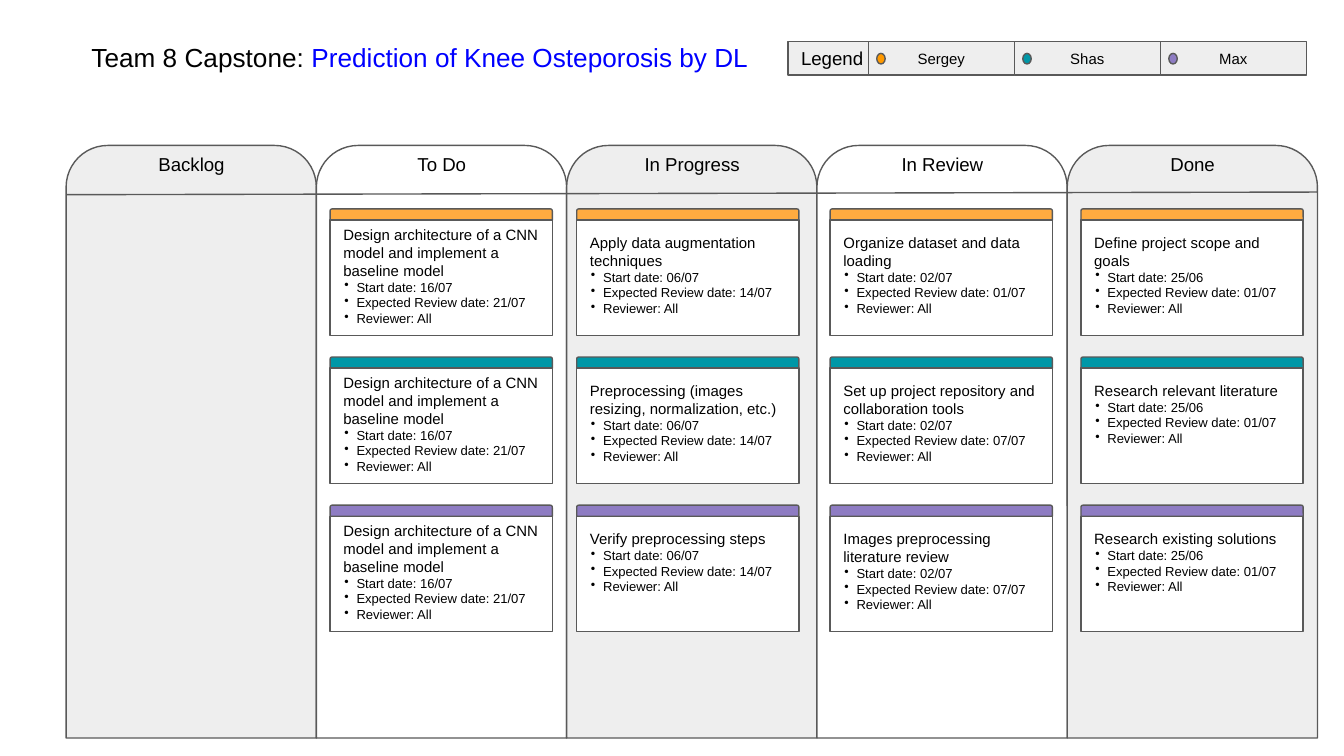
from dataclasses import dataclass

from lxml import etree
from pptx import Presentation
from pptx import util as u
from pptx.dml.color import RGBColor
from pptx.enum import shapes, text
from pptx.oxml import ns


@dataclass(frozen=True)
class Theme:
    font: str = "Arial"
    ink: str = "000000"
    accent: str = "0000FF"
    outline: str = "595959"
    white: str = "FFFFFF"
    grey: str = "EEEEEE"
    dots: tuple = ("FF9900", "0097A7", "8E7CC3")
    bars: tuple = ("FFAB40", "0097A7", "8E7CC3")
    title_size: float = 14
    heading_size: float = 10
    task_size: float = 8
    detail_size: float = 7
    line_width: float = 0.75


THEME = Theme()
RECT = shapes.MSO_SHAPE.RECTANGLE
ROUND_TOP = shapes.MSO_SHAPE.ROUND_2_SAME_RECTANGLE
CENTER = text.PP_ALIGN.CENTER
MIDDLE = text.MSO_ANCHOR.MIDDLE

MEMBERS = ("Sergey", "Shas", "Max")
INSET = 0.25
BOARD_LEFT, BOARD_TOP = 1.25, 2.75
COLUMN_WIDTH, COLUMN_HEIGHT = 4.73, 11.2
CARD_TOP, CARD_PITCH, CARD_WIDTH = 3.95, 2.8, 4.2
BAR_HEIGHT, CARD_HEIGHT = 0.21, 2.18
LEGEND_LEFT, LEGEND_TOP, LEGEND_HEIGHT = 14.89, 0.79, 0.63
MEMBER_LEFT, MEMBER_WIDTH = 16.41, 2.76

BASELINE = "Design architecture of a CNN model and implement a baseline model"
# heading, card offset in the column, top inset, start date, (task, review date) per member
COLUMNS = [
    ("Backlog", 0, INSET, "", []),
    ("To Do", 0.26, 0.1, "16/07", [(BASELINE, "21/07")] * 3),
    ("In Progress", 0.19, INSET, "06/07", [
        ("Apply data augmentation techniques", "14/07"),
        ("Preprocessing (images resizing, normalization, etc.)", "14/07"),
        ("Verify preprocessing steps", "14/07"),
    ]),
    ("In Review", 0.25, INSET, "02/07", [
        ("Organize dataset and data loading", "01/07"),
        ("Set up project repository and collaboration tools", "07/07"),
        ("Images preprocessing literature review", "07/07"),
    ]),
    ("Done", 0.26, INSET, "25/06", [
        ("Define project scope and goals", "01/07"),
        ("Research relevant literature", "01/07"),
        ("Research existing solutions", "01/07"),
    ]),
]


def color(value):
    return RGBColor.from_string(value)


def cm(*lengths):
    return [u.Cm(length) for length in lengths]


def add_box(parent, kind, place, fill):
    """Add an outlined, filled shape; place is left, top, width, height in cm."""
    box = parent.shapes.add_shape(kind, *cm(*place))
    box.shadow.inherit = False
    box.fill.solid()
    box.fill.fore_color.rgb = color(fill)
    box.line.color.rgb = color(THEME.outline)
    box.line.width = u.Pt(THEME.line_width)
    return box


def add_span(para, words, size, ink=THEME.ink):
    span = para.add_run()
    span.text = words
    span.font.name = THEME.font
    span.font.size = u.Pt(size)
    span.font.color.rgb = color(ink)


def open_frame(box, anchor=text.MSO_ANCHOR.TOP, top=INSET, align=text.PP_ALIGN.LEFT):
    """Prepare the text frame of a box and return its first paragraph."""
    frame = box.text_frame
    frame.word_wrap = True
    frame.vertical_anchor = anchor
    frame.margin_left = frame.margin_right = frame.margin_bottom = u.Cm(INSET)
    frame.margin_top = u.Cm(top)
    para = frame.paragraphs[0]
    para.alignment = align
    return para


def add_bullet(frame, words):
    para = frame.add_paragraph()
    para.alignment = text.PP_ALIGN.LEFT
    props = para._p.get_or_add_pPr()
    props.set("marL", str(u.Cm(0.25)))
    props.set("indent", str(-u.Cm(0.23)))
    tint = etree.SubElement(props, ns.qn("a:buClr"))
    etree.SubElement(tint, ns.qn("a:srgbClr"), val=THEME.ink)
    etree.SubElement(props, ns.qn("a:buChar"), char="•")
    add_span(para, words, THEME.detail_size)


def add_title(page):
    box = page.shapes.add_textbox(*cm(1.48, 0.53, 13, 1.12))
    para = open_frame(box)
    add_span(para, "Team 8 Capstone: ", THEME.title_size)
    add_span(para, "Prediction of Knee Osteporosis by DL", THEME.title_size, THEME.accent)


def add_legend(page):
    group = page.shapes.add_group_shape()
    label = add_box(group, RECT, (LEGEND_LEFT, LEGEND_TOP, 2.46, LEGEND_HEIGHT), THEME.grey)
    add_span(open_frame(label, MIDDLE), "Legend", THEME.heading_size)
    for index, (member, dot) in enumerate(zip(MEMBERS, THEME.dots)):
        left = MEMBER_LEFT + index * MEMBER_WIDTH
        cell = add_box(group, RECT, (left, LEGEND_TOP, MEMBER_WIDTH, LEGEND_HEIGHT), THEME.grey)
        add_span(open_frame(cell, MIDDLE, align=CENTER), member, THEME.task_size)
        add_box(page, shapes.MSO_SHAPE.OVAL, (left + 0.16, 1.01, 0.16, 0.2), dot)


def add_header_line(page):
    right = BOARD_LEFT + len(COLUMNS) * COLUMN_WIDTH
    line = page.shapes.add_connector(
        shapes.MSO_CONNECTOR.STRAIGHT, *cm(BOARD_LEFT, 3.68, right, 3.63))
    line.line.color.rgb = color(THEME.outline)
    line.line.width = u.Pt(THEME.line_width)
    etree.SubElement(line._element.spPr, ns.qn("a:effectLst"))


def add_heading(page, left, words):
    box = page.shapes.add_textbox(*cm(left + 0.35, 2.67, 4.04, 0.94))
    add_span(open_frame(box, align=CENTER), words, THEME.heading_size)


def add_card(page, left, top, bar, top_inset, task, details):
    group = page.shapes.add_group_shape()
    add_box(group, ROUND_TOP, (left, top, CARD_WIDTH, BAR_HEIGHT), bar)
    body = add_box(group, RECT, (left, top + BAR_HEIGHT, CARD_WIDTH, CARD_HEIGHT), THEME.white)
    add_span(open_frame(body, top=top_inset), task, THEME.task_size)
    for detail in details:
        add_bullet(body.text_frame, detail)


def add_board(page):
    lefts = [BOARD_LEFT + index * COLUMN_WIDTH for index in range(len(COLUMNS))]
    for index, left in enumerate(lefts):
        fill = THEME.white if index % 2 else THEME.grey
        add_box(page, ROUND_TOP, (left, BOARD_TOP, COLUMN_WIDTH, COLUMN_HEIGHT), fill)
    add_header_line(page)
    for left, (heading, offset, top_inset, start, tasks) in zip(lefts, COLUMNS):
        add_heading(page, left, heading)
        for row, (task, review) in enumerate(tasks):
            details = (f"Start date: {start}", f"Expected Review date: {review}", "Reviewer: All")
            add_card(page, left + offset, CARD_TOP + row * CARD_PITCH,
                     THEME.bars[row], top_inset, task, details)


def main():
    deck = Presentation()
    deck.slide_width, deck.slide_height = cm(25.4, 14.29)
    page = deck.slides.add_slide(deck.slide_layouts[6])
    add_board(page)
    add_title(page)
    add_legend(page)
    deck.save("out.pptx")


if __name__ == "__main__":
    main()
